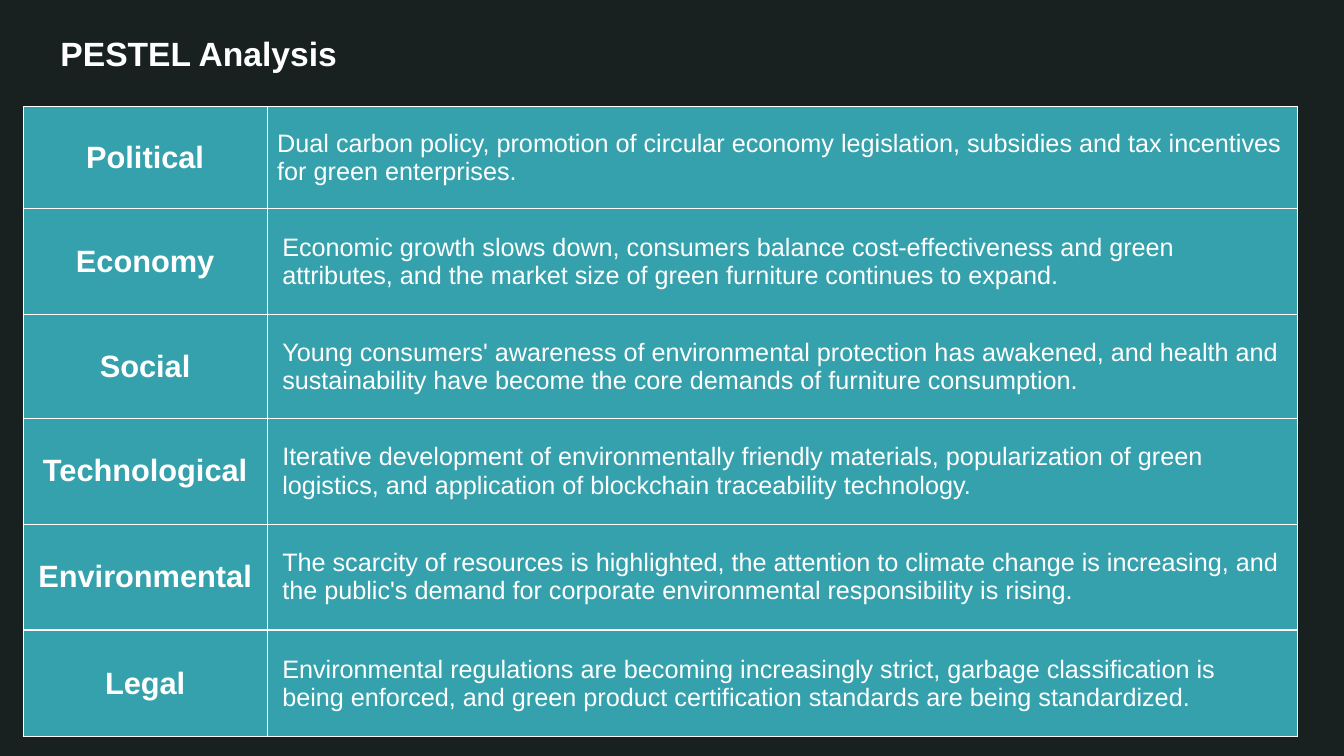
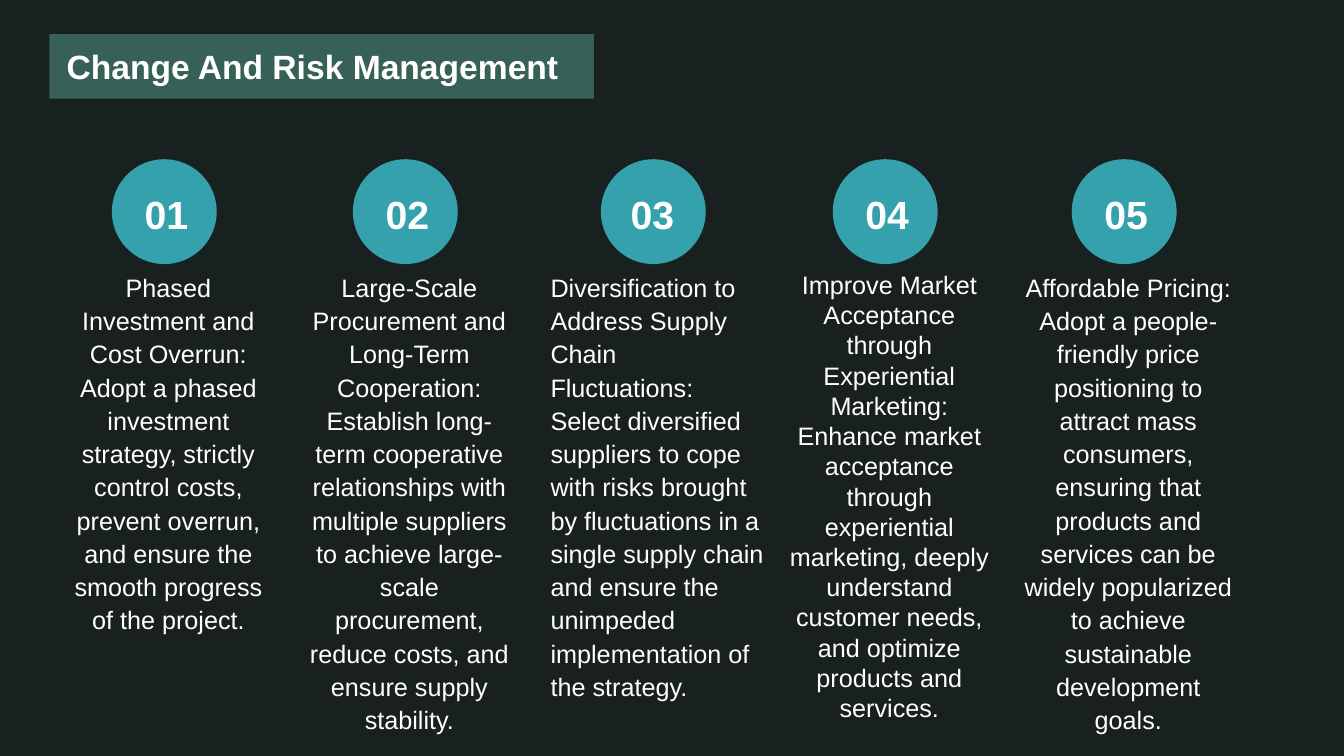
from lxml import etree
from pptx import Presentation
from pptx.dml.color import RGBColor
from pptx.enum.shapes import MSO_SHAPE
from pptx.enum.text import MSO_ANCHOR, MSO_AUTO_SIZE, PP_ALIGN
from pptx.oxml.ns import qn
from pptx.util import Inches, Pt

LEFT, CENTER = PP_ALIGN.LEFT, PP_ALIGN.CENTER
TOP, MIDDLE = MSO_ANCHOR.TOP, MSO_ANCHOR.MIDDLE
NO_AUTOFIT = MSO_AUTO_SIZE.NONE
RECTANGLE, OVAL = MSO_SHAPE.RECTANGLE, MSO_SHAPE.OVAL
TITLE_ONLY = 5

FONT = "Arial"
COLORS = {
    "background": "182120",
    "accent": "35A1AD",
    "title_band": "376057",
    "text": "FFFFFF",
}

PESTEL = [
    ("Political", "Dual carbon policy, promotion of circular economy legislation, "
     "subsidies and tax incentives for green enterprises."),
    ("Economy", "Economic growth slows down, consumers balance cost-effectiveness and "
     "green attributes, and the market size of green furniture continues to expand."),
    ("Social", "Young consumers' awareness of environmental protection has awakened, and "
     "health and sustainability have become the core demands of furniture consumption."),
    ("Technological", "Iterative development of environmentally friendly materials, "
     "popularization of green logistics, and application of blockchain traceability "
     "technology."),
    ("Environmental", "The scarcity of resources is highlighted, the attention to climate "
     "change is increasing, and the public's demand for corporate environmental "
     "responsibility is rising."),
    ("Legal", "Environmental regulations are becoming increasingly strict, garbage "
     "classification is being enforced, and green product certification standards are "
     "being standardized."),
]
COLUMN_WIDTHS = (2.42, 10.22)
ROW_HEIGHTS = (1.01, 1.05, 1.03, 1.05, 1.05, 1.06)

# Column left, number offset, alignment, line spacing, text
RISKS = [
    (0.47, 0.64, CENTER, 1.1, "Phased Investment and Cost Overrun: Adopt a phased "
     "investment strategy, strictly control costs, prevent overrun, and ensure the smooth "
     "progress of the project."),
    (2.86, 0.64, CENTER, 1.1, "Large-Scale Procurement and Long-Term Cooperation: "
     "Establish long-term cooperative relationships with multiple suppliers to achieve "
     "large-scale procurement, reduce costs, and ensure supply stability."),
    (5.32, 0.61, LEFT, 1.1, "Diversification to Address Supply Chain Fluctuations: Select "
     "diversified suppliers to cope with risks brought by fluctuations in a single supply "
     "chain and ensure the unimpeded implementation of the strategy."),
    (7.62, 0.64, CENTER, 1.0, "Improve Market Acceptance through Experiential Marketing: "
     "Enhance market acceptance through experiential marketing, deeply understand customer "
     "needs, and optimize products and services."),
    (9.99, 0.64, CENTER, 1.1, "Affordable Pricing: Adopt a people-friendly price "
     "positioning to attract mass consumers, ensuring that products and services can be "
     "widely popularized to achieve sustainable development goals."),
]


def color(name):
    return RGBColor.from_string(COLORS[name])


def set_margins(holder, left, top, right, bottom):
    """Set the inner margins of a text frame or table cell."""
    holder.margin_left, holder.margin_top = Inches(left), Inches(top)
    holder.margin_right, holder.margin_bottom = Inches(right), Inches(bottom)


def write(frame, text, size, bold=False, align=LEFT, spacing=None):
    frame.word_wrap = True
    para = frame.paragraphs[0]
    para.text = text
    para.alignment = align
    if spacing:
        para.line_spacing = spacing
    para.font.name = FONT
    para.font.size = Pt(size)
    para.font.bold = bold
    para.font.color.rgb = color("text")


def add_filled_shape(page, kind, fill, left, top, width, height):
    shape = page.shapes.add_shape(
        kind, Inches(left), Inches(top), Inches(width), Inches(height))
    shape.shadow.inherit = False
    shape.fill.solid()
    shape.fill.fore_color.rgb = color(fill)
    shape.line.fill.background()
    return shape


def add_text(page, text, left, top, width, height, size, **style):
    box = page.shapes.add_textbox(
        Inches(left), Inches(top), Inches(width), Inches(height))
    set_margins(box.text_frame, 0.14, 0.14, 0.06, 0.14)
    write(box.text_frame, text, size, **style)


def add_page(deck):
    return deck.slides.add_slide(deck.slide_layouts[TITLE_ONLY])


def place_title(page, text, left, top, width, height=0.5):
    title = page.shapes.title
    title.left, title.top = Inches(left), Inches(top)
    title.width, title.height = Inches(width), Inches(height)
    frame = title.text_frame
    frame.auto_size = NO_AUTOFIT
    frame.vertical_anchor = TOP
    set_margins(frame, 0.1, 0.05, 0.1, 0)
    write(frame, text, 24, bold=True)


def add_borders(cell):
    properties = cell._tc.get_or_add_tcPr()
    for position, side in enumerate(("lnL", "lnR", "lnT", "lnB")):
        line = etree.Element(qn(f"a:{side}"), w=str(Pt(1)))
        fill = etree.SubElement(line, qn("a:solidFill"))
        etree.SubElement(fill, qn("a:srgbClr"), val=COLORS["text"])
        properties.insert(position, line)


def add_pestel_table(page, left, top):
    table = page.shapes.add_table(
        len(PESTEL), len(COLUMN_WIDTHS), Inches(left), Inches(top),
        Inches(sum(COLUMN_WIDTHS)), Inches(sum(ROW_HEIGHTS))).table
    table.first_row = table.horz_banding = False
    for column, width in zip(table.columns, COLUMN_WIDTHS):
        column.width = Inches(width)
    for row, height, texts in zip(table.rows, ROW_HEIGHTS, PESTEL):
        row.height = Inches(height)
        for cell, text, size, bold, align in zip(
                row.cells, texts, (22, 18), (True, False), (CENTER, LEFT)):
            cell.fill.solid()
            cell.fill.fore_color.rgb = color("accent")
            cell.vertical_anchor = MIDDLE
            set_margins(cell, 0.15, 0.15, 0.15, 0.15)
            write(cell.text_frame, text, size, bold, align)
            add_borders(cell)
    set_margins(table.cell(0, 1), 0.1, 0.05, 0.1, 0.05)


def add_risk_column(page, number, left, top, number_offset, align, spacing, text):
    """Place a numbered circle with its text below."""
    add_filled_shape(page, OVAL, "accent", left + 0.64, top, 1.04, 1.04)
    add_text(page, f"{number:02}", left + number_offset, top + 0.07, 1, 0.76, 28,
             bold=True, align=CENTER, spacing=1.2)
    add_text(page, text, left, top + 0.95, 2.32, 3.68, 18, align=align, spacing=spacing)


def build_pestel_page(deck):
    page = add_page(deck)
    place_title(page, "PESTEL Analysis", 0.5, 0.28, 11.77)
    add_pestel_table(page, 0.23, 1.06)


def build_risk_page(deck):
    page = add_page(deck)
    band = add_filled_shape(page, RECTANGLE, "title_band", 0.49, 0.34, 5.4, 0.64)
    title = page.shapes.title
    title._element.addprevious(band._element)
    place_title(page, "Change And Risk Management", 0.56, 0.41, 5.17)
    for number, (left, number_offset, align, spacing, text) in enumerate(RISKS, start=1):
        add_risk_column(page, number, left, 1.58, number_offset, align, spacing, text)


def main():
    deck = Presentation()
    deck.slide_width, deck.slide_height = Inches(13.33), Inches(7.5)
    background = deck.slide_master.background.fill
    background.solid()
    background.fore_color.rgb = color("background")
    build_pestel_page(deck)
    build_risk_page(deck)
    deck.save("out.pptx")


if __name__ == "__main__":
    main()
